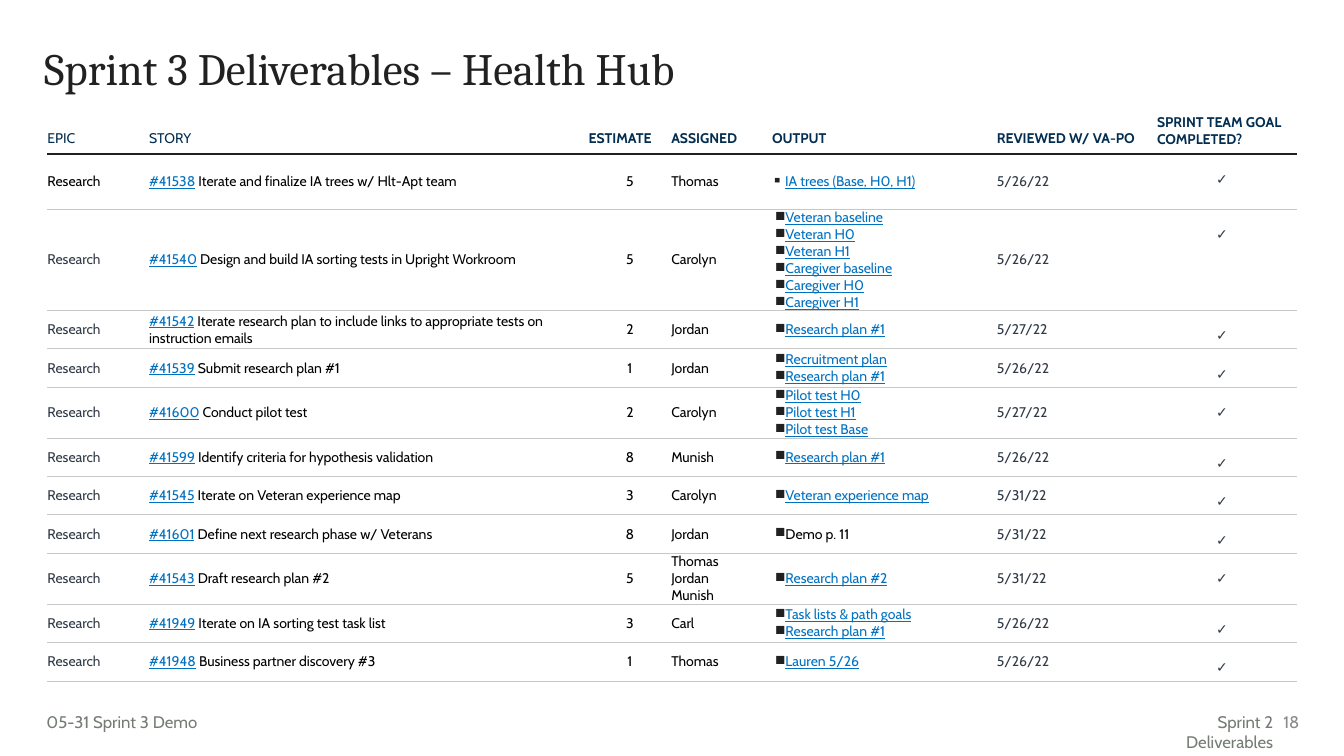
from lxml import etree
from pptx import Presentation
from pptx.dml.color import RGBColor
from pptx.enum.text import MSO_ANCHOR, PP_ALIGN
from pptx.oxml.ns import qn
from pptx.util import Pt

LEFT, CENTER, RIGHT = PP_ALIGN.LEFT, PP_ALIGN.CENTER, PP_ALIGN.RIGHT
TOP, MIDDLE = MSO_ANCHOR.TOP, MSO_ANCHOR.MIDDLE

INK = RGBColor(0x20, 0x21, 0x20)
BLACK = RGBColor(0, 0, 0)
NAVY = RGBColor(0x02, 0x2D, 0x50)
SLATE = RGBColor(0x30, 0x3A, 0x46)
LINK = RGBColor(0x00, 0x71, 0xC0)
RULE = RGBColor(0xC7, 0xC7, 0xC7)
FOOTER = RGBColor(0x74, 0x7C, 0x74)
PAGE = RGBColor(0x8A, 0x8A, 0x8A)

COLUMN_WIDTHS = [72.6, 314, 59, 72, 160.6, 107.2, 107.2]
HEADER_HEIGHT, FIRST_HEIGHT, ROW_HEIGHT = 28.8, 39.6, 27.5
CHECK_DROP = 12.1
HEADERS = ["EPIC", "STORY", "ESTIMATE", "ASSIGNED", "OUTPUT",
           "REVIEWED W/ VA-PO", "SPRINT TEAM GOAL COMPLETED?"]
STORIES = [
    ("#41538", "Iterate and finalize IA trees w/ Hlt-Apt team", 5, ["Thomas"],
     ["IA trees (Base, H0, H1)"], "5/26/22"),
    ("#41540", "Design and build IA sorting tests in Upright Workroom", 5, ["Carolyn"],
     ["Veteran baseline", "Veteran H0", "Veteran H1",
      "Caregiver baseline", "Caregiver H0", "Caregiver H1"], "5/26/22"),
    ("#41542", "Iterate research plan to include links to appropriate tests on instruction emails",
     2, ["Jordan"], ["Research plan #1"], "5/27/22"),
    ("#41539", "Submit research plan #1", 1, ["Jordan"],
     ["Recruitment plan", "Research plan #1"], "5/26/22"),
    ("#41600", "Conduct pilot test", 2, ["Carolyn"],
     ["Pilot test H0", "Pilot test H1", "Pilot test Base"], "5/27/22"),
    ("#41599", "Identify criteria for hypothesis validation", 8, ["Munish"],
     ["Research plan #1"], "5/26/22"),
    ("#41545", "Iterate on Veteran experience map", 3, ["Carolyn"],
     ["Veteran experience map"], "5/31/22"),
    ("#41601", "Define next research phase w/ Veterans", 8, ["Jordan"],
     ["Demo p. 11"], "5/31/22"),
    ("#41543", "Draft research plan #2", 5, ["Thomas", "Jordan", "Munish"],
     ["Research plan #2"], "5/31/22"),
    ("#41949", "Iterate on IA sorting test task list", 3, ["Carl"],
     ["Task lists & path goals", "Research plan #1"], "5/26/22"),
    ("#41948", "Business partner discovery #3", 1, ["Thomas"],
     ["Lauren 5/26"], "5/26/22"),
]
UNLINKED = {"Demo p. 11"}


class DeliverablesSlide:
    """Holds the text style and the slide, and draws its elements."""

    heading_font, body_font, body_size = "Cambria", "Cabin", 10

    def __init__(self, presentation):
        self.slide = presentation.slides.add_slide(presentation.slide_layouts[6])

    def style(self, run, color, size=None, font=None, bold=False, underline=False):
        run.font.name = font or self.body_font
        run.font.size = Pt(size or self.body_size)
        run.font.bold = bold
        run.font.underline = underline
        run.font.color.rgb = color

    def text_box(self, text, left, top, width, height, color, size=12, font=None,
                 align=LEFT, anchor=TOP, margin_left=7.2, spacing=1.0):
        box = self.slide.shapes.add_textbox(Pt(left), Pt(top), Pt(width), Pt(height))
        frame = box.text_frame
        frame.word_wrap = True
        frame.vertical_anchor = anchor
        frame.margin_left = Pt(margin_left)
        frame.text = text
        paragraph = frame.paragraphs[0]
        paragraph.alignment = align
        paragraph.line_spacing = spacing
        self.style(paragraph.runs[0], color, size, font)

    def table(self, left, top, widths, heights):
        frame = self.slide.shapes.add_table(len(heights), len(widths), Pt(left), Pt(top),
                                            Pt(sum(widths)), Pt(sum(heights)))
        table = frame.table
        table.horz_banding = False
        for column, width in zip(table.columns, widths):
            column.width = Pt(width)
        for row, height in zip(table.rows, heights):
            row.height = Pt(height)
        return table

    def border(self, cell, side, rule):
        properties = cell._tc.get_or_add_tcPr()
        line = etree.SubElement(properties, qn(f"a:ln{side}"))
        if rule is None:
            etree.SubElement(line, qn("a:noFill"))
            return
        color, width = rule
        line.set("w", str(Pt(width)))
        fill = etree.SubElement(line, qn("a:solidFill"))
        etree.SubElement(fill, qn("a:srgbClr"), val=str(color))

    def bullet(self, paragraph, character, hang):
        properties = paragraph._p.get_or_add_pPr()
        properties.set("marL", str(Pt(9.36)))
        properties.set("indent", str(-Pt(hang)))
        color = etree.SubElement(properties, qn("a:buClr"))
        etree.SubElement(color, qn("a:srgbClr"), val=str(INK))
        etree.SubElement(properties, qn("a:buChar"), char=character)

    def cell(self, cell, lines, rules, margins=(0, 0, 0, 0), align=LEFT, anchor=MIDDLE,
             bold=False, bullet=None):
        for side, rule in zip("LRTB", (None, None, *rules)):
            self.border(cell, side, rule)
        cell.fill.background()
        cell.vertical_anchor = anchor
        (cell.margin_left, cell.margin_top,
         cell.margin_right, cell.margin_bottom) = map(Pt, margins)
        frame = cell.text_frame
        frame.text = "\n".join("" for _ in lines)
        for paragraph, pieces in zip(frame.paragraphs, lines):
            paragraph.alignment = align
            if bullet:
                self.bullet(paragraph, *bullet)
            for text, color in pieces:
                run = paragraph.add_run()
                run.text = text
                self.style(run, color, bold=bold, underline=color == LINK)

    def header_row(self, cells, rules):
        for index, (cell, text) in enumerate(zip(cells, HEADERS)):
            last = index == len(HEADERS) - 1
            right = 0 if text in ("OUTPUT", "REVIEWED W/ VA-PO") else 7.2
            self.cell(cell, [[(text, NAVY)]], rules,
                      (7.2, 0, 7.2, 0) if last else (0, 7.2, right, 0),
                      anchor=TOP if last else MIDDLE, bold=index > 1)

    def story_row(self, cells, story, rules, first):
        number, title, estimate, people, outputs, reviewed = story
        epic, story_cell, estimate_cell, assigned, output, review, goal = cells
        narrow = (0, 0, 28.8, 0)
        self.cell(epic, [[("Research", BLACK if first else SLATE)]], rules, narrow)
        self.cell(story_cell, [[(number, LINK), (f" {title}", BLACK)]], rules)
        self.cell(estimate_cell, [[(str(estimate), BLACK)]], rules, align=CENTER)
        self.cell(assigned, [[(name, BLACK)] for name in people], rules, narrow)
        self.cell(output, [[(name, BLACK if name in UNLINKED else LINK)] for name in outputs],
                  rules, bullet=("▪", 9.36) if first else ("■", 7.2))
        self.cell(review, [[(reviewed, SLATE)]], rules)
        self.cell(goal, [[("✓", SLATE)]], rules, (0, CHECK_DROP, 0, 0), CENTER, TOP)


def main():
    presentation = Presentation()
    presentation.slide_width, presentation.slide_height = Pt(960), Pt(540)
    page = DeliverablesSlide(presentation)
    page.text_box("Sprint 3 Deliverables – Health Hub", 24.5, 29.5, 894, 59, INK, 32,
                  page.heading_font, spacing=0.9)
    page.text_box("18", 903.6, 501.1, 31.7, 28.8, PAGE, align=RIGHT, anchor=MIDDLE)

    heights = [HEADER_HEIGHT, FIRST_HEIGHT] + [ROW_HEIGHT] * (len(STORIES) - 1)
    table = page.table(33.9, 81.2, COLUMN_WIDTHS, heights)
    dark, light = (INK, 1), (RULE, 0.75)
    header, *rows = table.rows
    page.header_row(header.cells, (None, dark))
    for index, (row, story) in enumerate(zip(rows, STORIES)):
        first = index == 0
        page.story_row(row.cells, story, (dark if first else light, light), first)

    page.text_box("Sprint 2 Deliverables", 798.5, 504.7, 118, 21.6, FOOTER, align=RIGHT)
    page.text_box("05-31 Sprint 3 Demo", 33.1, 504.7, 214.6, 21.6, FOOTER, margin_left=0)
    presentation.save("out.pptx")


if __name__ == "__main__":
    main()
